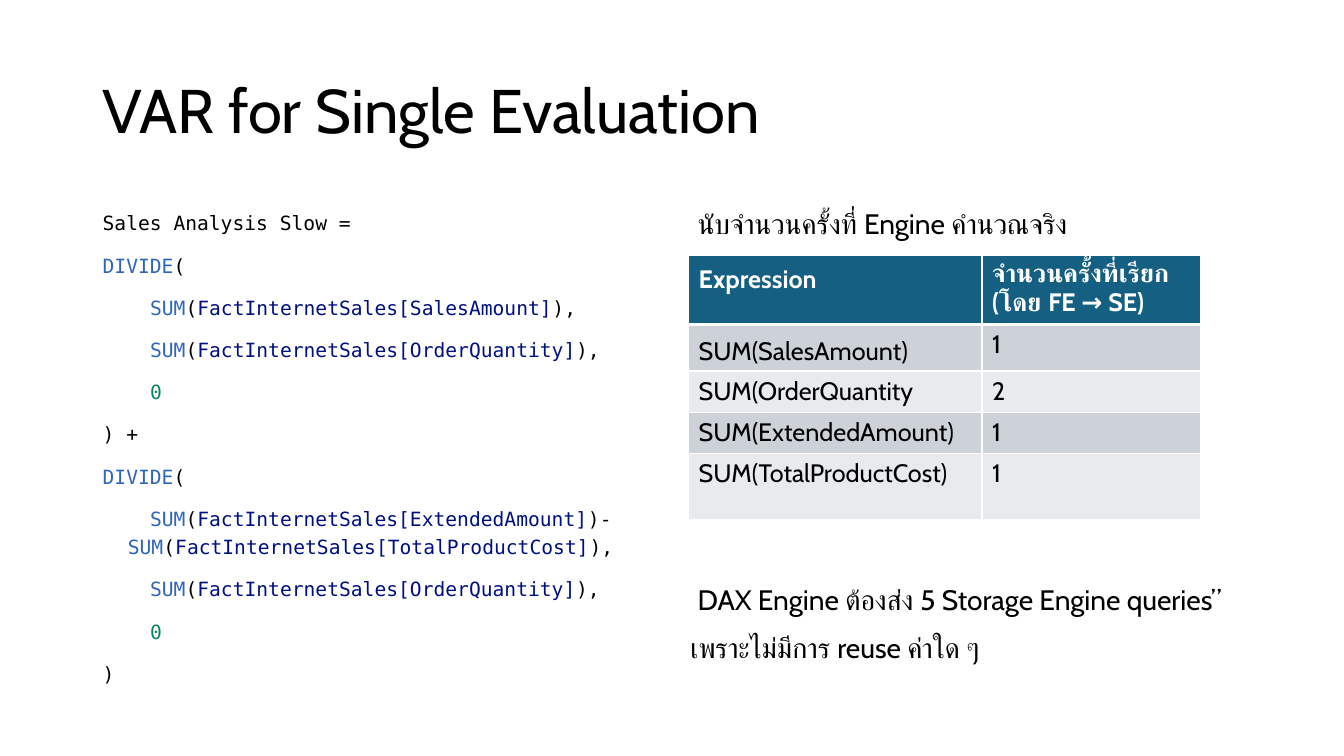
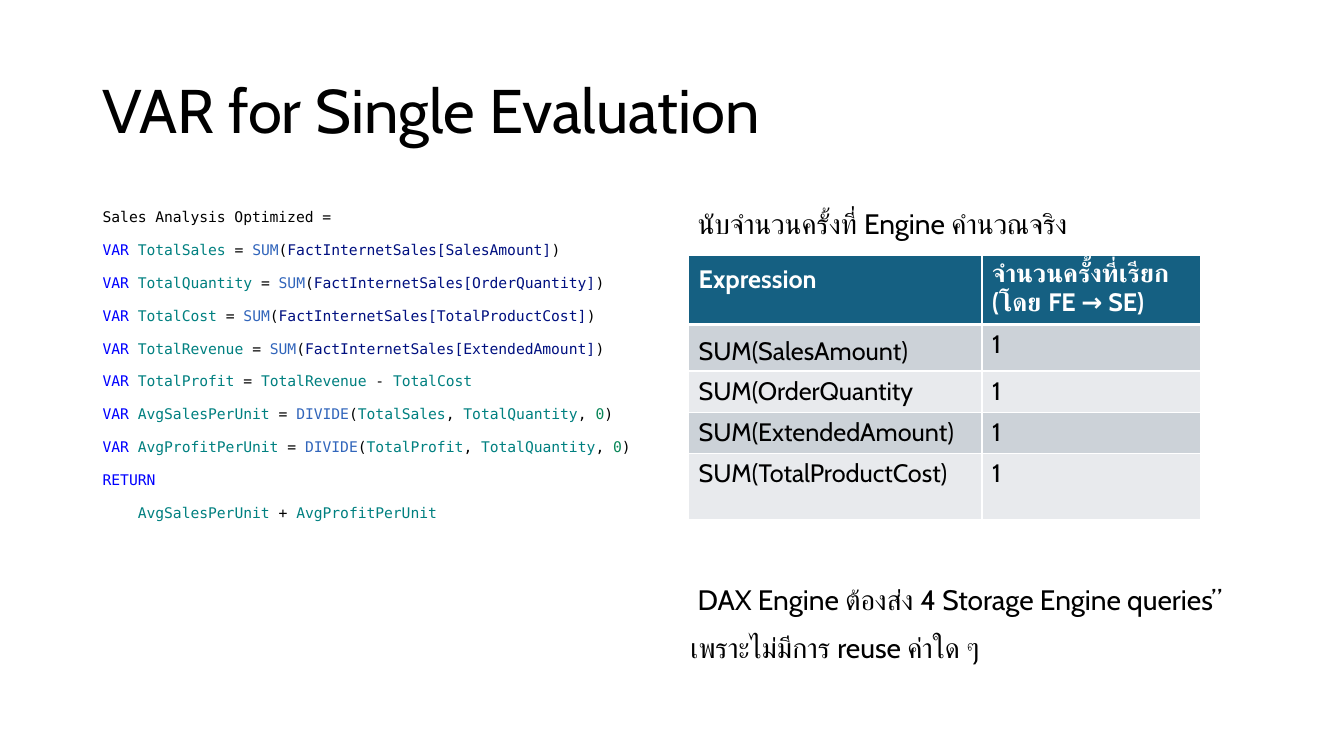
from itertools import groupby

from lxml import etree
from pptx import Presentation
from pptx.dml.color import RGBColor
from pptx.enum.text import MSO_ANCHOR
from pptx.oxml.ns import qn
from pptx.util import Inches, Pt

# Shared style
COLORS = {
    "text": "000000",
    "white": "FFFFFF",
    "header": "156082",
    "band_dark": "CCD2D8",
    "band_light": "E8EAED",
    "function": "3165BB",
    "column": "001080",
    "number": "098658",
    "keyword": "0000FF",
    "variable": "008080",
}
TEXT_FONT = "Cabin"
CODE_FONT = "DejaVu Sans Mono"

# Two-column grid, in inches
SLIDE_WIDTH, SLIDE_HEIGHT = 13.33, 7.5
MARGIN, GUTTER = 0.92, 0.16
CONTENT_WIDTH = 11.5
COLUMN_WIDTH = (CONTENT_WIDTH - GUTTER) / 2
RIGHT_COLUMN = MARGIN + COLUMN_WIDTH + GUTTER
BODY_TOP, BODY_HEIGHT = 2, 4.76
HANGING = 0.25
NUDGE = 0.07

# Content
TITLE = "VAR for Single Evaluation"
COUNT_HEADING = "นับจำนวนครั้งที่ Engine คำนวณจริง"
TABLE_HEADER = ("Expression", "จำนวนครั้งที่เรียก\v(โดย FE → SE)")
EXPRESSIONS = ("SUM(SalesAmount)", "SUM(OrderQuantity",
               "SUM(ExtendedAmount)", "SUM(TotalProductCost)")
COLUMN_WIDTHS = (2.91, 2.17)
ROW_HEIGHTS = (0.69, 0.46, 0.41, 0.41, 0.66)
HEADER_TOP_MARGINS = (0.09, 0.07)

SLOW_CODE = """\
Sales Analysis Slow =
DIVIDE(
    SUM(FactInternetSales[SalesAmount]),
    SUM(FactInternetSales[OrderQuantity]),
    0
) +
DIVIDE(
    SUM(FactInternetSales[ExtendedAmount])-SUM(FactInternetSales[TotalProductCost]),
    SUM(FactInternetSales[OrderQuantity]),
    0
)"""

OPTIMIZED_CODE = """\
Sales Analysis Optimized =
VAR TotalSales = SUM(FactInternetSales[SalesAmount])
VAR TotalQuantity = SUM(FactInternetSales[OrderQuantity])
VAR TotalCost = SUM(FactInternetSales[TotalProductCost])
VAR TotalRevenue = SUM(FactInternetSales[ExtendedAmount])
VAR TotalProfit = TotalRevenue - TotalCost
VAR AvgSalesPerUnit = DIVIDE(TotalSales, TotalQuantity, 0)
VAR AvgProfitPerUnit = DIVIDE(TotalProfit, TotalQuantity, 0)
RETURN
    AvgSalesPerUnit + AvgProfitPerUnit"""


def color(name):
    return RGBColor.from_string(COLORS[name])


def set_font(paragraph, size, name=TEXT_FONT, color_name="text", bold=False):
    font = paragraph.font
    font.size, font.name, font.bold = Pt(size), name, bold
    font.color.rgb = color(color_name)


def set_indent(paragraph, left, first_line=0):
    properties = paragraph._p.get_or_add_pPr()
    properties.set("marL", str(Inches(left)))
    properties.set("indent", str(Inches(first_line)))


def add_paragraphs(slide, left, top, width, height, count):
    """Add a wrapping text box and return its frame and paragraphs."""
    box = slide.shapes.add_textbox(*map(Inches, (left, top, width, height)))
    frame = box.text_frame
    frame.word_wrap = True
    for _ in range(count - 1):
        frame.add_paragraph().space_before = Pt(10)
    return frame, frame.paragraphs


def add_title(slide):
    frame, (paragraph,) = add_paragraphs(slide, MARGIN, 0.4, CONTENT_WIDTH, 1.45, 1)
    frame.vertical_anchor = MSO_ANCHOR.MIDDLE
    paragraph.text = TITLE
    paragraph.line_spacing = 0.9
    set_font(paragraph, 44)


def add_statement(slide, top, height, lines):
    """Add lines of prose to the right column, the first slightly indented."""
    _, paragraphs = add_paragraphs(slide, RIGHT_COLUMN, top, COLUMN_WIDTH, height, len(lines))
    set_indent(paragraphs[0], NUDGE)
    for paragraph, line in zip(paragraphs, lines):
        paragraph.text = line
        set_font(paragraph, 20.1)


# Code highlighting
def token_color(token):
    if token in ("VAR", "RETURN"):
        return "keyword"
    if token in ("SUM", "DIVIDE"):
        return "function"
    if token.isdigit():
        return "number"
    if "[" in token:
        return "column"
    if token.startswith(("Total", "Avg")):
        return "variable"
    return "text"


def add_code(slide, code, size, line_spacing):
    lines = code.splitlines()
    _, paragraphs = add_paragraphs(slide, MARGIN, BODY_TOP, COLUMN_WIDTH, BODY_HEIGHT, len(lines))
    for paragraph, line in zip(paragraphs, lines):
        set_indent(paragraph, HANGING, -HANGING)
        paragraph.line_spacing = line_spacing
        set_font(paragraph, size, CODE_FONT)
        for _, letters in groupby(line, lambda letter: letter.isalnum() or letter in "[]"):
            run = paragraph.add_run()
            run.text = "".join(letters)
            run.font.color.rgb = color(token_color(run.text))


# Count table
def set_borders(cell, top, bottom):
    properties = cell._tc.get_or_add_tcPr()
    for side, width in (("L", 1), ("R", 1), ("T", top), ("B", bottom)):
        line = etree.SubElement(properties, qn(f"a:ln{side}"), w=str(Pt(width)))
        fill = etree.SubElement(line, qn("a:solidFill"))
        etree.SubElement(fill, qn("a:srgbClr"), val=COLORS["white"])


def style_cell(cell, row, text):
    is_header = row == 0
    set_borders(cell, top=3 if row == 1 else 1, bottom=3 if is_header else 1)
    cell.fill.solid()
    band = "band_dark" if row % 2 else "band_light"
    cell.fill.fore_color.rgb = color("header" if is_header else band)
    paragraph = cell.text_frame.paragraphs[0]
    paragraph.text = text
    set_font(paragraph, 18, color_name="white" if is_header else "text", bold=is_header)


def add_count_table(slide, counts):
    rows = [TABLE_HEADER, *zip(EXPRESSIONS, counts)]
    frame = slide.shapes.add_table(
        len(rows), len(COLUMN_WIDTHS), Inches(6.83), Inches(2.53),
        Inches(sum(COLUMN_WIDTHS)), Inches(sum(ROW_HEIGHTS)))
    table = frame.table
    table.first_row = table.horz_banding = False
    for column, width in zip(table.columns, COLUMN_WIDTHS):
        column.width = Inches(width)
    for row, (height, texts) in enumerate(zip(ROW_HEIGHTS, rows)):
        table.rows[row].height = Inches(height)
        for column, text in enumerate(texts):
            style_cell(table.cell(row, column), row, str(text))
    # Room above the header text for Thai tone marks
    for cell, margin in zip(table.rows[0].cells, HEADER_TOP_MARGINS):
        cell.margin_top, cell.margin_bottom = Inches(margin), 0
    table.cell(1, 0).text_frame.paragraphs[0].line_spacing = 1.2


def add_evaluation_slide(presentation, code, size, line_spacing, counts):
    slide = presentation.slides.add_slide(presentation.slide_layouts[6])
    add_title(slide)
    add_code(slide, code, size, line_spacing)
    add_statement(slide, BODY_TOP, 0.5, [COUNT_HEADING])
    add_count_table(slide, counts)
    add_statement(slide, 5.73, 1.03, [
        f"DAX Engine ต้องส่ง {sum(counts)} Storage Engine queries”",
        "เพราะไม่มีการ reuse ค่าใด ๆ",
    ])


def main():
    presentation = Presentation()
    presentation.slide_width = Inches(SLIDE_WIDTH)
    presentation.slide_height = Inches(SLIDE_HEIGHT)
    add_evaluation_slide(presentation, SLOW_CODE, 14, 1.2, (1, 2, 1, 1))
    add_evaluation_slide(presentation, OPTIMIZED_CODE, 10.5, Pt(13.5), (1, 1, 1, 1))
    presentation.save("out.pptx")


if __name__ == "__main__":
    main()
